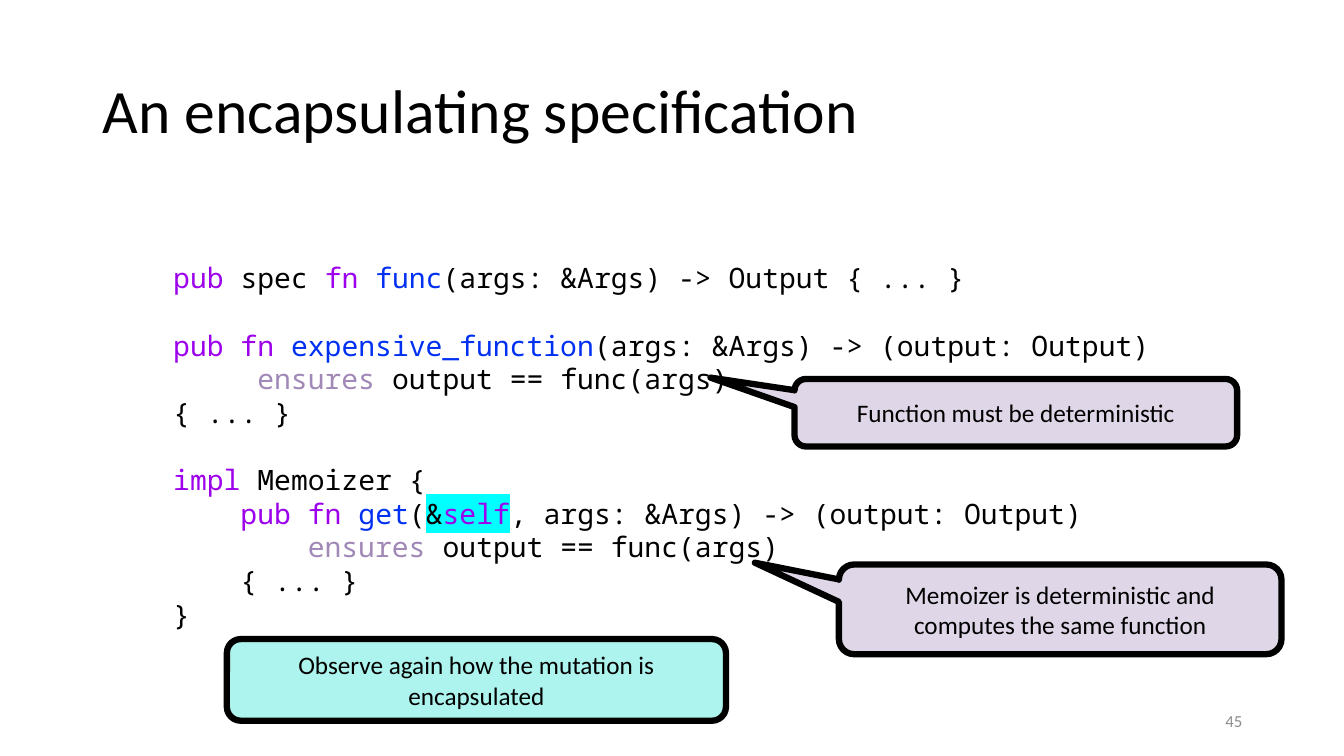
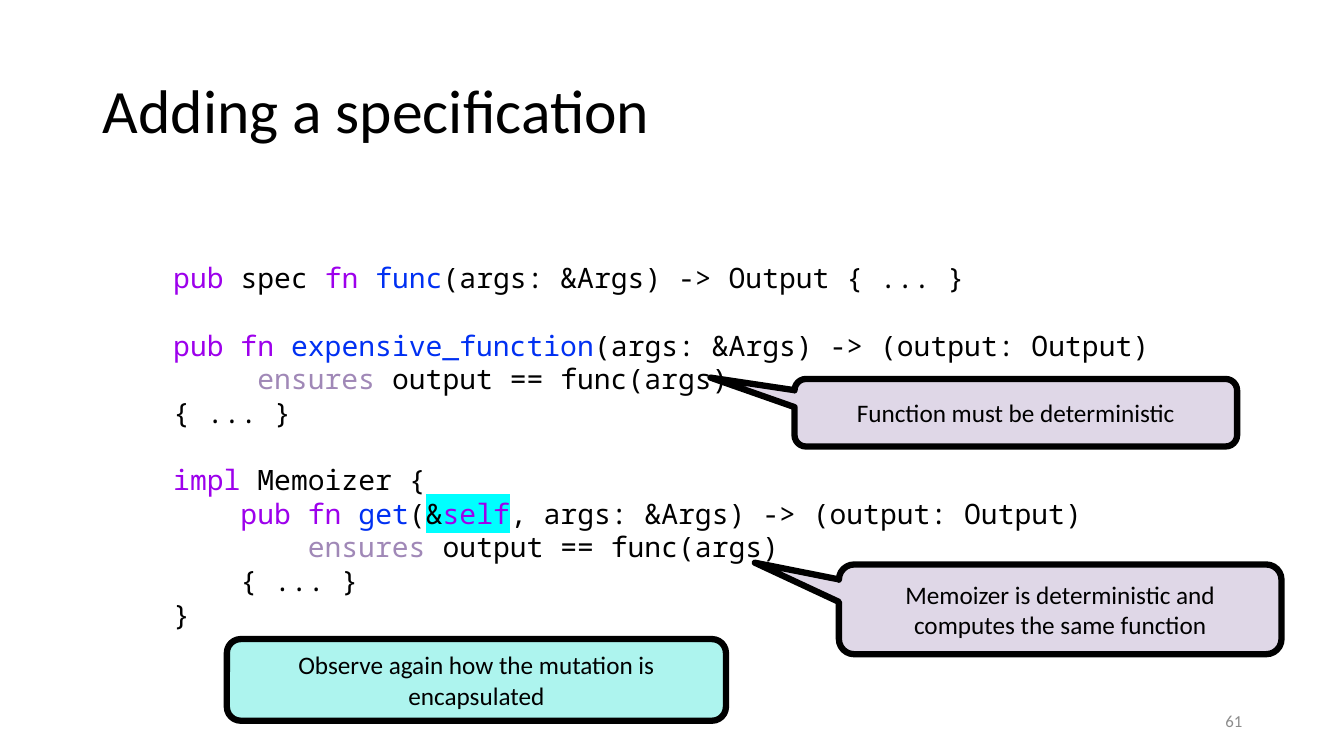
from lxml import etree
from pptx import Presentation
from pptx.dml.color import RGBColor
from pptx.enum.shapes import MSO_SHAPE
from pptx.enum.text import MSO_ANCHOR, MSO_AUTO_SIZE, PP_ALIGN
from pptx.oxml.ns import qn
from pptx.util import Emu, Pt

PX = 9144
BLACK, GREY = "000000", "8C8C8C"
LILAC, MINT, CYAN = "DFD7E7", "ADF4EE", "00FFFF"
PLAIN = (BLACK, None)
KEYWORD = ("9D00EC", None)
NAME = ("0030F2", None)
CLAUSE = ("A088B7", None)
MARKED = (BLACK, CYAN)
MARKED_KEYWORD = ("9D00EC", CYAN)
SANS, MONO = "Calibri", "Noto Sans Mono"
CODE_LINE = 24

SLIDES = [("An encapsulating specification", "45"), ("Adding a specification", "61")]

CODE = [
    [
        [("pub", KEYWORD), (" spec ", PLAIN), ("fn ", KEYWORD), ("func", NAME),
         ("(args: &Args) -> Output { ... }", PLAIN)],
    ],
    [
        [("pub fn ", KEYWORD), ("expensive_function", NAME),
         ("(args: &Args) -> (output: Output)", PLAIN)],
        [("     ensures", CLAUSE), (" output == func(args)", PLAIN)],
        [("{ ... }", PLAIN)],
    ],
    [
        [("impl ", KEYWORD), ("Memoizer {", PLAIN)],
        [("    pub fn ", KEYWORD), ("get", NAME), ("(", PLAIN), ("&", MARKED),
         ("self", MARKED_KEYWORD), (", args: &Args) -> (output: Output)", PLAIN)],
        [("        ensures", CLAUSE), (" output == func(args)", PLAIN)],
        [("    { ... }", PLAIN)],
        [("}", PLAIN)],
    ],
]

CALLOUT = MSO_SHAPE.ROUNDED_RECTANGULAR_CALLOUT
TAIL = (-0.69, -0.52, 0.17)
NOTES = [
    (CALLOUT, TAIL, (788, 376, 439, 67), LILAC, "Function must be deterministic"),
    (CALLOUT, TAIL, (832, 560, 439, 89), LILAC,
     "Memoizer is deterministic and computes the same function"),
    (MSO_SHAPE.ROUNDED_RECTANGLE, (0.17,), (225, 634, 495, 81), MINT,
     "Observe again how the mutation is encapsulated"),
]


def px(*values):
    return [Emu(v * PX) for v in values]


def rgb(value):
    return RGBColor.from_string(value)


def write(p, text, size=18, font=SANS, color=BLACK, highlight=None, align=PP_ALIGN.LEFT):
    p.alignment = align
    r = p.add_run()
    r.text = text
    r.font.size = Pt(size)
    r.font.color.rgb = rgb(color)
    if highlight:
        mark = etree.SubElement(r.font._element, qn("a:highlight"))
        etree.SubElement(mark, qn("a:srgbClr"), val=highlight)
    r.font.name = font


def add_box(s, at, anchor=MSO_ANCHOR.TOP):
    tf = s.shapes.add_textbox(*px(*at)).text_frame
    tf.word_wrap = True
    tf.vertical_anchor = anchor
    return tf


def add_title(s, text):
    sp = s.shapes.title
    sp.left, sp.top, sp.width, sp.height = px(92, 40, 1076, 145)
    tf = sp.text_frame
    tf.auto_size = MSO_AUTO_SIZE.NONE
    tf.vertical_anchor = MSO_ANCHOR.MIDDLE
    p = tf.paragraphs[0]
    p.line_spacing = 0.9
    write(p, text, size=44)


def add_code(s):
    tf = add_box(s, (162, 254, 1150, 380))
    p = tf.paragraphs[0]
    for b, block in enumerate(CODE):
        for i, line in enumerate(block):
            if b or i:
                p = tf.add_paragraph()
            if b and not i:
                p.space_before = Pt(CODE_LINE)
            for text, (color, highlight) in line:
                write(p, text, size=20, font=MONO, color=color, highlight=highlight)


def add_note(s, kind, adjustments, at, fill, text):
    sp = s.shapes.add_shape(kind, *px(*at))
    for i, value in enumerate(adjustments):
        sp.adjustments[i] = value
    sp.shadow.inherit = False
    sp.fill.solid()
    sp.fill.fore_color.rgb = rgb(fill)
    sp.line.color.rgb = rgb(BLACK)
    sp.line.width = Pt(4.5)
    tf = sp.text_frame
    tf.word_wrap = True
    tf.vertical_anchor = MSO_ANCHOR.MIDDLE
    write(tf.paragraphs[0], text, align=PP_ALIGN.CENTER)


def add_number(s, number):
    tf = add_box(s, (942, 695, 300, 40), MSO_ANCHOR.MIDDLE)
    write(tf.paragraphs[0], number, size=12, color=GREY, align=PP_ALIGN.RIGHT)


def main():
    prs = Presentation()
    prs.slide_width, prs.slide_height = px(1333, 750)
    for title, number in SLIDES:
        s = prs.slides.add_slide(prs.slide_layouts[5])
        add_title(s, title)
        add_code(s)
        add_number(s, number)
        for note in NOTES:
            add_note(s, *note)
    prs.save("out.pptx")


if __name__ == "__main__":
    main()
